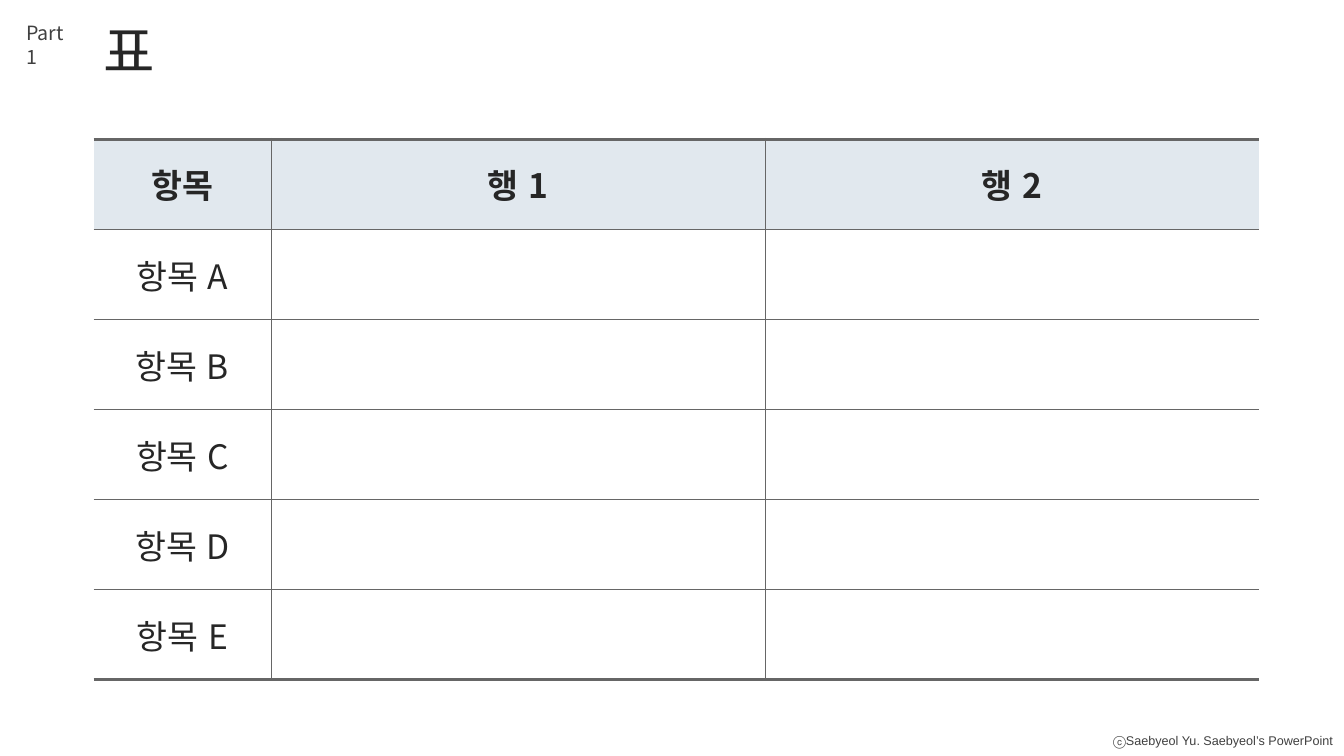
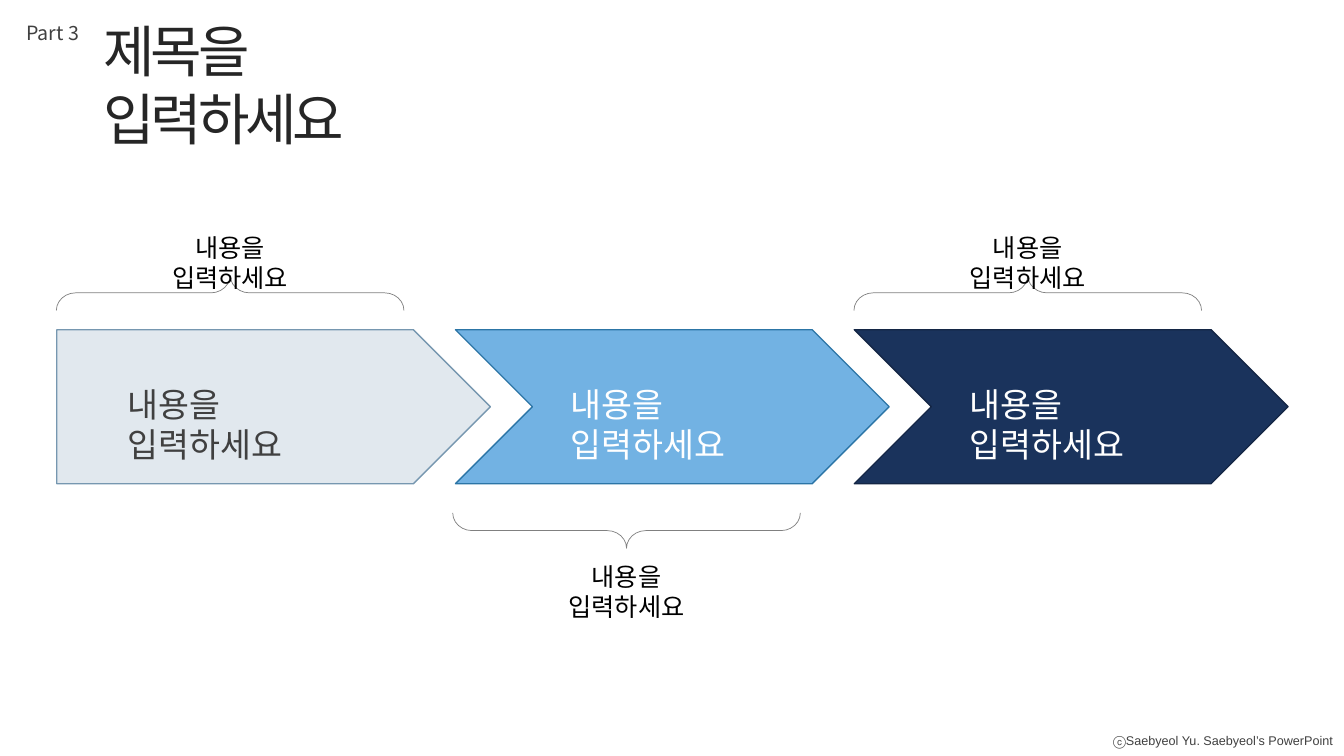
from dataclasses import dataclass
from typing import Any

from lxml import etree
from pptx import Presentation
from pptx.dml.color import RGBColor
from pptx.enum.lang import MSO_LANGUAGE_ID
from pptx.enum.shapes import MSO_SHAPE
from pptx.enum.text import MSO_ANCHOR, MSO_AUTO_SIZE, PP_ALIGN
from pptx.oxml.ns import qn
from pptx.util import Cm, Pt

LEFT, CENTER, RIGHT = PP_ALIGN.LEFT, PP_ALIGN.CENTER, PP_ALIGN.RIGHT
TOP, MIDDLE = MSO_ANCHOR.TOP, MSO_ANCHOR.MIDDLE
PLATE, CHEVRON, BRACE = MSO_SHAPE.PENTAGON, MSO_SHAPE.CHEVRON, MSO_SHAPE.LEFT_BRACE
NO_FIT = MSO_AUTO_SIZE.NONE
KOREAN = MSO_LANGUAGE_ID.KOREAN
TITLE_ONLY = 5


@dataclass(frozen=True)
class Theme:
    font: str = "Noto Sans CJK KR"
    small_font: str = "Arial"
    ink: str = "262626"
    gray: str = "404040"
    black: str = "000000"
    white: str = "FFFFFF"
    rule: str = "666666"
    brace: str = "808080"
    pale: str = "E1E8EE"
    sky: str = "72B2E3"
    navy: str = "1A335C"
    title: float = 40
    body: float = 24
    note: float = 18
    mark: float = 14
    foot: float = 9
    thin: float = 0.75
    thick: float = 2.25


THEME = Theme()


@dataclass(frozen=True)
class Box:
    """Place and size in centimetres."""
    left: float
    top: float
    width: float
    height: float

    def lengths(self) -> tuple[Cm, Cm, Cm, Cm]:
        return Cm(self.left), Cm(self.top), Cm(self.width), Cm(self.height)


@dataclass(frozen=True)
class Style:
    size: float
    color: str
    align: Any = LEFT
    bold: bool = False
    font: str = THEME.font
    gap: float = 0


@dataclass(frozen=True)
class Step:
    """One arrow with its label; mid is the centre of its brace and note."""
    kind: Any
    fill: str
    edge: str
    color: str
    indent: float
    mid: float
    above: bool


TITLE = Style(THEME.title, THEME.ink, gap=-3)
MARK = Style(THEME.mark, THEME.gray)
FOOT = Style(THEME.foot, THEME.gray, RIGHT, font=THEME.small_font)
NOTE = Style(THEME.note, THEME.black, CENTER)
HEAD = Style(THEME.body, THEME.ink, CENTER, bold=True)
CELL = Style(THEME.body, THEME.ink, CENTER)

ROWS = [["항목", "행 1", "행 2"]] + [[f"항목 {key}", "", ""] for key in "ABCDE"]
WIDTHS = [4.47, 12.45, 12.45]
ROW_H = 2.27

PROMPT = "내용을 입력하세요"
STEPS = [
    Step(PLATE, THEME.pale, "7697B0", THEME.gray, 1.54, 5.8, True),
    Step(CHEVRON, THEME.sky, "2C75A6", THEME.white, 2.66, 15.79, False),
    Step(CHEVRON, THEME.navy, "142645", THEME.white, 2.66, 25.9, True),
]
FIRST, PITCH = 1.43, 10.05


def assign(target: Any, values: dict[str, Any]) -> None:
    for name, value in values.items():
        setattr(target, name, value)


def rgb(color: str) -> RGBColor:
    return RGBColor.from_string(color)


def write(frame: Any, text: str, style: Style) -> None:
    para = frame.paragraphs[0]
    para.alignment = style.align
    if not text:
        return
    run = para.add_run()
    run.text = text
    assign(run.font, {"name": style.font, "size": Pt(style.size),
                      "bold": style.bold, "language_id": KOREAN})
    run.font.color.rgb = rgb(style.color)
    props = run.font._element
    etree.SubElement(props, qn("a:ea")).set("typeface", style.font)
    if style.gap:
        props.set("spc", str(int(style.gap * 100)))


def add_text(slide: Any, box: Box, text: str, style: Style, wrap: bool = True) -> Any:
    shape = slide.shapes.add_textbox(*box.lengths())
    assign(shape.text_frame, {"word_wrap": wrap, "auto_size": NO_FIT,
                              "vertical_anchor": TOP})
    write(shape.text_frame, text, style)
    return shape


def add_shape(slide: Any, kind: Any, box: Box, fill: str | None,
              edge: str, weight: float) -> Any:
    shape = slide.shapes.add_shape(kind, *box.lengths())
    shape.shadow.inherit = False
    if fill:
        shape.fill.solid()
        shape.fill.fore_color.rgb = rgb(fill)
    else:
        shape.fill.background()
    shape.line.color.rgb = rgb(edge)
    shape.line.width = Pt(weight)
    return shape


def add_page(deck: Any, mark: str, width: float, title: str, span: float) -> Any:
    """Add a slide with its part mark and title."""
    slide = deck.slides.add_slide(deck.slide_layouts[TITLE_ONLY])
    head = slide.shapes.title
    left, top, wide, high = Box(2.36, 0.3, span, 1.96).lengths()
    assign(head, {"left": left, "top": top, "width": wide, "height": high})
    assign(head.text_frame, {"word_wrap": True, "auto_size": NO_FIT,
                             "vertical_anchor": TOP})
    write(head.text_frame, title, TITLE)
    add_text(slide, Box(0.41, 0.41, width, 0.86), mark, MARK)
    return slide


def add_foot(deck: Any, slide: Any) -> None:
    """Put the copyright line on the master, so that every slide shows it."""
    foot = add_text(slide, Box(27.74, 18.34, 6.1, 0.64),
                    "ⓒSaebyeol Yu. Saebyeol’s PowerPoint", FOOT, wrap=False)
    deck.slide_master.shapes._spTree.append(foot._element)


def set_edges(cell: Any, edges: dict[str, float]) -> None:
    """Rule the cell's sides; a weight of 0 leaves a side open."""
    props = cell._tc.get_or_add_tcPr()
    for side, weight in edges.items():
        line = etree.SubElement(props, qn(f"a:ln{side}"))
        line.set("w", str(Pt(weight)))
        if weight:
            fill = etree.SubElement(line, qn("a:solidFill"))
            etree.SubElement(fill, qn("a:srgbClr")).set("val", THEME.rule)
        else:
            etree.SubElement(line, qn("a:noFill"))


def add_grid(slide: Any) -> None:
    box = Box(2.36, 3.51, sum(WIDTHS), ROW_H * len(ROWS))
    grid = slide.shapes.add_table(len(ROWS), len(WIDTHS), *box.lengths()).table
    assign(grid, {"first_row": False, "horz_banding": False})
    for col, width in zip(grid.columns, WIDTHS):
        col.width = Cm(width)
    last_row, last_col = len(ROWS) - 1, len(WIDTHS) - 1
    for i, texts in enumerate(ROWS):
        grid.rows[i].height = Cm(ROW_H)
        for j, text in enumerate(texts):
            cell = grid.cell(i, j)
            set_edges(cell, {
                "L": THEME.thin if j else 0,
                "R": THEME.thin if j < last_col else 0,
                "T": THEME.thin if i else THEME.thick,
                "B": THEME.thin if i < last_row else THEME.thick,
            })
            cell.fill.solid()
            cell.fill.fore_color.rgb = rgb(THEME.white if i else THEME.pale)
            cell.vertical_anchor = MIDDLE
            write(cell.text_frame, text, CELL if i else HEAD)


def add_brace(slide: Any, step: Step) -> None:
    wide, high = 0.89, 8.76
    mid = 7.38 if step.above else 13.37
    box = Box(step.mid - wide / 2, mid - high / 2, wide, high)
    brace = add_shape(slide, BRACE, box, None, THEME.brace, 0.5)
    brace.rotation = 90 if step.above else 270
    brace.adjustments[0] = 0.545


def add_steps(slide: Any) -> None:
    lefts = [FIRST + PITCH * i for i in range(len(STEPS))]
    for left, step in reversed(list(zip(lefts, STEPS))):
        add_shape(slide, step.kind, Box(left, 8.31, 10.93, 3.88),
                  step.fill, step.edge, 1)
    for left, step in zip(lefts, STEPS):
        add_brace(slide, step)
        top = 5.72 if step.above else 14.02
        add_text(slide, Box(step.mid - 2.54, top, 5.08, 1.02), PROMPT, NOTE)
        add_text(slide, Box(left + step.indent, 9.55, 6.63, 1.27), PROMPT,
                 Style(THEME.body, step.color))


def main() -> None:
    deck = Presentation()
    assign(deck, {"slide_width": Cm(33.87), "slide_height": Cm(19.05)})
    first = add_page(deck, "Part 1", 1.78, "표", 1.63)
    add_foot(deck, first)
    add_grid(first)
    add_steps(add_page(deck, "Part 3", 1.85, "제목을 입력하세요", 9.73))
    deck.save("out.pptx")


if __name__ == "__main__":
    main()
